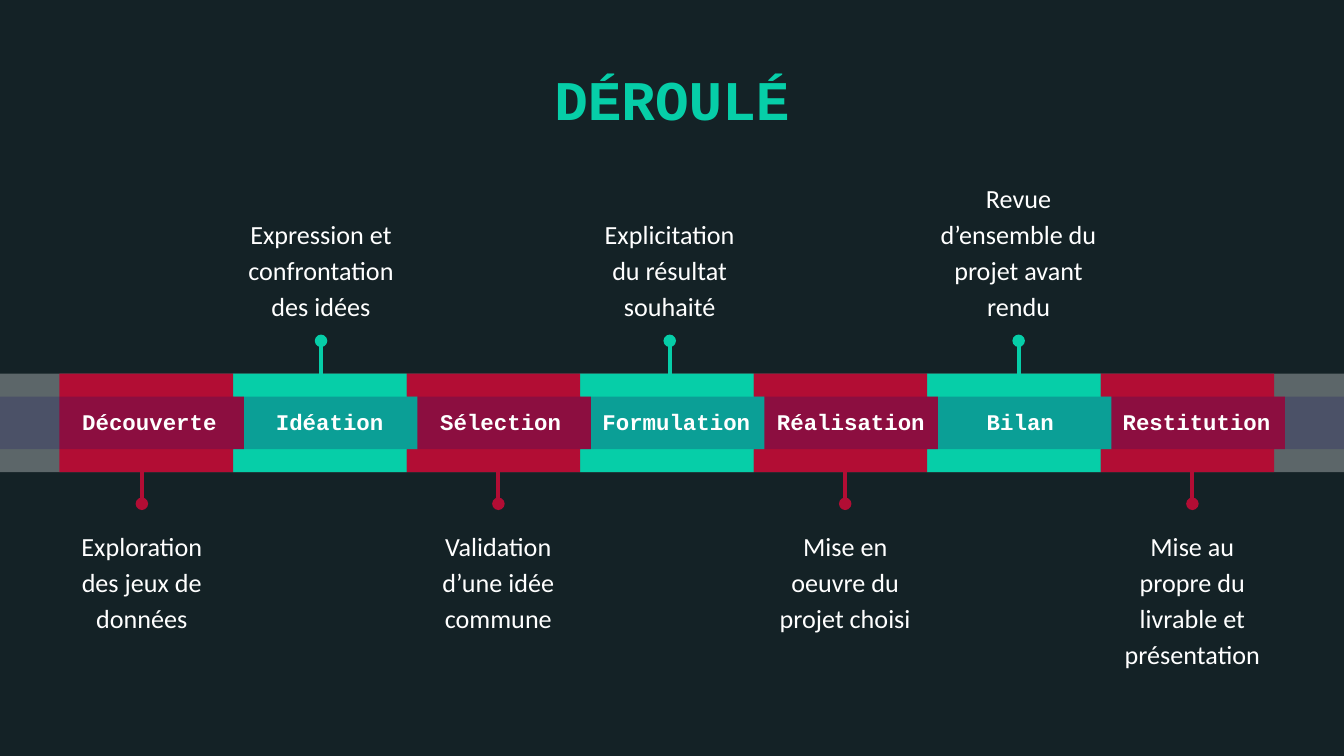
import pptx
import pptx.util
import pptx.dml.color
import pptx.enum.shapes
import pptx.enum.text
import pptx.oxml.ns
import lxml.etree

Pt = pptx.util.Pt
RGB = pptx.dml.color.RGBColor
Anchor = pptx.enum.text.MSO_ANCHOR

DARK = RGB(0x14, 0x22, 0x26)
WHITE = RGB(0xFF, 0xFF, 0xFF)
NAVY = RGB(0x1B, 0x14, 0x64)
TEAL = RGB(0x06, 0xCE, 0xA8)
RED = RGB(0xB2, 0x0D, 0x34)

# Content: label, label centre, note, note centre
TITLE = "DÉROULÉ"
STEPS = [
    ("Découverte", 80, "Exploration des jeux de données", 76),
    ("Idéation", 176.6, "Expression et confrontation des idées", 172),
    ("Sélection", 268.2, "Validation d’une idée commune", 267),
    ("Formulation", 362.3, "Explicitation du résultat souhaité", 358.8),
    ("Réalisation", 455.8, "Mise en oeuvre du projet choisi", 452.8),
    ("Bilan", 546.6, "Revue d’ensemble du projet avant rendu", 545.7),
    ("Restitution", 641, "Mise au propre du livrable et présentation", 638.8),
]

# Layout, in points
WIDE, HIGH = 720, 405
TOP, BASE = 200.1, 252.9      # full band
UPPER, LOWER = 212.5, 240.6   # inner band
LEFT, STEP, TAB = 31.8, 92.95, 5.7
PIN = 17.5
NOTE = (98.6, 70)

HEAD = {"size": Pt(30), "bold": True, "name": "Courier New"}
LABEL = {"size": Pt(12), "bold": True, "name": "Courier New"}
BODY = {"size": Pt(14), "bold": False, "name": "Calibri"}


def paint(shape, color):
    shape.fill.solid()
    shape.fill.fore_color.rgb = color
    shape.line.fill.background()
    shape.shadow.inherit = False


def band(top, base, color, alpha):
    kind = pptx.enum.shapes.MSO_SHAPE.RECTANGLE
    shape = slide.shapes.add_shape(kind, 0, Pt(top), Pt(WIDE), Pt(base - top))
    paint(shape, color)
    tint = shape.fill._xPr.find(".//" + pptx.oxml.ns.qn("a:srgbClr"))
    lxml.etree.SubElement(tint, pptx.oxml.ns.qn("a:alpha"), val=str(alpha * 1000))


def tag(left, color):
    edge = left + STEP + 0.2
    points = [(left, BASE), (edge, BASE), (edge, LOWER), (edge + TAB, LOWER),
              (edge + TAB, UPPER), (edge, UPPER), (edge, TOP)]
    pen = slide.shapes.build_freeform(Pt(left), Pt(TOP))
    pen.add_line_segments([(Pt(x), Pt(y)) for x, y in points], close=True)
    paint(pen.convert_to_shape(), color)


def write(words, mid, top, size, font, color, pad=7.2, anchor=Anchor.TOP, space=1.0):
    wide, high = size
    box = slide.shapes.add_textbox(Pt(mid - wide / 2), Pt(top), Pt(wide), Pt(high))
    frame = box.text_frame
    form = {"word_wrap": True, "vertical_anchor": anchor,
            "margin_left": Pt(7.2), "margin_right": Pt(7.2),
            "margin_top": Pt(pad), "margin_bottom": Pt(pad)}
    for key, value in form.items():
        setattr(frame, key, value)
    para = frame.paragraphs[0]
    para.alignment = pptx.enum.text.PP_ALIGN.CENTER
    para.line_spacing = space
    run = para.add_run()
    run.text = words
    for key, value in font.items():
        setattr(run.font, key, value)
    run.font.color.rgb = color


def pin(x, start, end, color):
    kind = pptx.enum.shapes.MSO_CONNECTOR.STRAIGHT
    line = slide.shapes.add_connector(kind, Pt(x), Pt(start), Pt(x), Pt(end))
    line.line.width = Pt(2.25)
    line.line.color.rgb = color
    qn = pptx.oxml.ns.qn
    lxml.etree.SubElement(line.line._get_or_add_ln(), qn("a:headEnd"), type="oval")
    lxml.etree.SubElement(line._element.spPr, qn("a:effectLst"))


deck = pptx.Presentation()
deck.slide_width, deck.slide_height = Pt(WIDE), Pt(HIGH)
slide = deck.slides.add_slide(deck.slide_layouts[6])
slide.background.fill.solid()
slide.background.fill.fore_color.rgb = DARK

# Timeline: each tag overlaps the one to its right
band(TOP, BASE, WHITE, 31)
for i in reversed(range(len(STEPS))):
    tag(LEFT + i * STEP, TEAL if i % 2 else RED)
band(UPPER, LOWER, NAVY, 25)

# Title
write(TITLE, WIDE / 2, 27.4, (518.4, 52.6), HEAD, TEAL)

# Labels, pins and notes, alternately below and above
for i, (label, mid, note, x) in enumerate(STEPS):
    write(label, mid, 211.7, (123, 28), LABEL, WHITE)
    if i % 2:
        pin(x, TOP - PIN, TOP, TEAL)
        write(note, x, 102.4, NOTE, BODY, WHITE, 0, Anchor.BOTTOM, 1.15)
    else:
        pin(x, BASE + PIN - 0.5, BASE - 0.5, RED)
        write(note, x, 281.5, NOTE, BODY, WHITE, 0, Anchor.TOP, 1.15)

deck.save("out.pptx")
